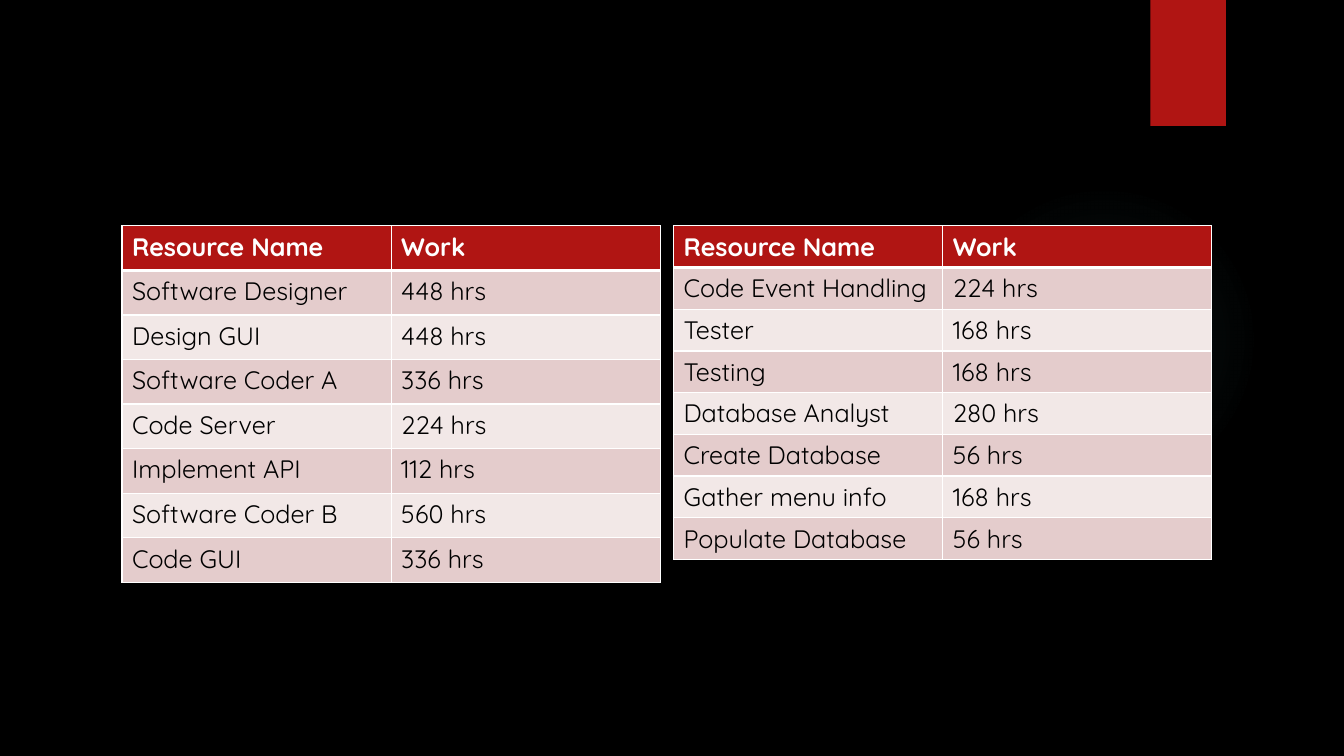
from lxml.etree import SubElement
from pptx import Presentation
from pptx.dml.color import RGBColor
from pptx.enum.shapes import MSO_SHAPE
from pptx.oxml import parse_xml
from pptx.oxml.ns import nsdecls, qn
from pptx.util import Inches, Pt

BLACK = RGBColor(0x00, 0x00, 0x00)
WHITE = RGBColor(0xFF, 0xFF, 0xFF)
RED = RGBColor(0xB0, 0x15, 0x13)
ROSE = RGBColor(0xE4, 0xCC, 0xCC)
PALE = RGBColor(0xF2, 0xE8, 0xE7)
TEAL = RGBColor(0x50, 0xB9, 0xC1)


class Deck:
    font = "Quicksand"
    size = Pt(18)

    def __init__(self, show):
        self.slide = show.slides.add_slide(show.slide_layouts[6])
        fill = self.slide.background.fill
        fill.solid()
        fill.fore_color.rgb = BLACK

    def shape(self, kind, left, top, width, height, color):
        item = self.slide.shapes.add_shape(
            kind, Inches(left), Inches(top), Inches(width), Inches(height))
        item.shadow.inherit = False
        item.fill.solid()
        item.fill.fore_color.rgb = color
        item.line.fill.background()
        return item

    def glow(self, left, top, size, color, stops):
        item = self.shape(MSO_SHAPE.OVAL, left, top, size, size, color)
        marks = "".join(
            f'<a:gs pos="{pos * 1000}"><a:srgbClr val="{color}">'
            f'<a:alpha val="{alpha * 1000}"/></a:srgbClr></a:gs>'
            for pos, alpha in stops)
        grad = parse_xml(
            f'<a:gradFill {nsdecls("a")}><a:gsLst>{marks}</a:gsLst>'
            '<a:path path="circle"><a:fillToRect l="50000" t="50000" '
            'r="50000" b="50000"/></a:path></a:gradFill>')
        props = item._element.spPr
        props.replace(props.find(qn("a:solidFill")), grad)

    def shadow(self, item, blur, drop, alpha):
        effects = item._element.spPr.find(qn("a:effectLst"))
        outer = SubElement(effects, qn("a:outerShdw"), blurRad=str(Pt(blur)),
                           dist=str(Pt(drop)), dir="5400000", rotWithShape="0")
        color = SubElement(outer, qn("a:srgbClr"), val=str(BLACK))
        SubElement(color, qn("a:alpha"), val=str(alpha * 1000))

    def edges(self, cell, top, bottom):
        props = cell._tc.get_or_add_tcPr()
        widths = {"lnL": 1, "lnR": 1, "lnT": top, "lnB": bottom}
        for place, (tag, width) in enumerate(widths.items()):
            props.insert(place, parse_xml(
                f'<a:{tag} {nsdecls("a")} w="{Pt(width)}"><a:solidFill>'
                f'<a:srgbClr val="{WHITE}"/></a:solidFill></a:{tag}>'))

    def cell(self, cell, text, row):
        head = row == 0
        cell.text_frame.text = text
        font = cell.text_frame.paragraphs[0].runs[0].font
        font.name, font.size, font.bold = self.font, self.size, head
        font.color.rgb = WHITE if head else BLACK
        cell.fill.solid()
        cell.fill.fore_color.rgb = RED if head else (PALE, ROSE)[row % 2]
        self.edges(cell, 3 if row == 1 else 1, 3 if head else 1)

    def table(self, left, top, width, height, rows):
        grid = self.slide.shapes.add_table(
            len(rows), len(rows[0]), Inches(left), Inches(top),
            Inches(width), Inches(height)).table
        for row, texts in enumerate(rows):
            for col, text in enumerate(texts):
                self.cell(grid.cell(row, col), text, row)


show = Presentation()
show.slide_width, show.slide_height = Inches(13.33), Inches(7.5)
deck = Deck(show)

# Backdrop
deck.glow(9.41, 1.83, 3.08, TEAL, [(0, 7), (36, 6), (69, 0), (100, 0)])
tab = deck.shape(MSO_SHAPE.RECTANGLE, 11.41, 0, 0.75, 1.25, RED)
deck.shadow(tab, 3, 2, 45)

# Work hours by resource
HEAD = ("Resource Name", "Work")
coding = [
    ("Software Designer", 448),
    ("Design GUI", 448),
    ("Software Coder A", 336),
    ("Code Server", 224),
    ("Implement API", 112),
    ("Software Coder B", 560),
    ("Code GUI", 336),
]
data = [
    ("Code Event Handling", 224),
    ("Tester", 168),
    ("Testing", 168),
    ("Database Analyst", 280),
    ("Create Database", 56),
    ("Gather menu info", 168),
    ("Populate Database", 56),
]
for left, height, work in ((1.21, 3.54, coding), (6.68, 3.31, data)):
    rows = [HEAD] + [(name, f"{hours} hrs") for name, hours in work]
    deck.table(left, 2.24, 5.34, height, rows)

show.save("out.pptx")
